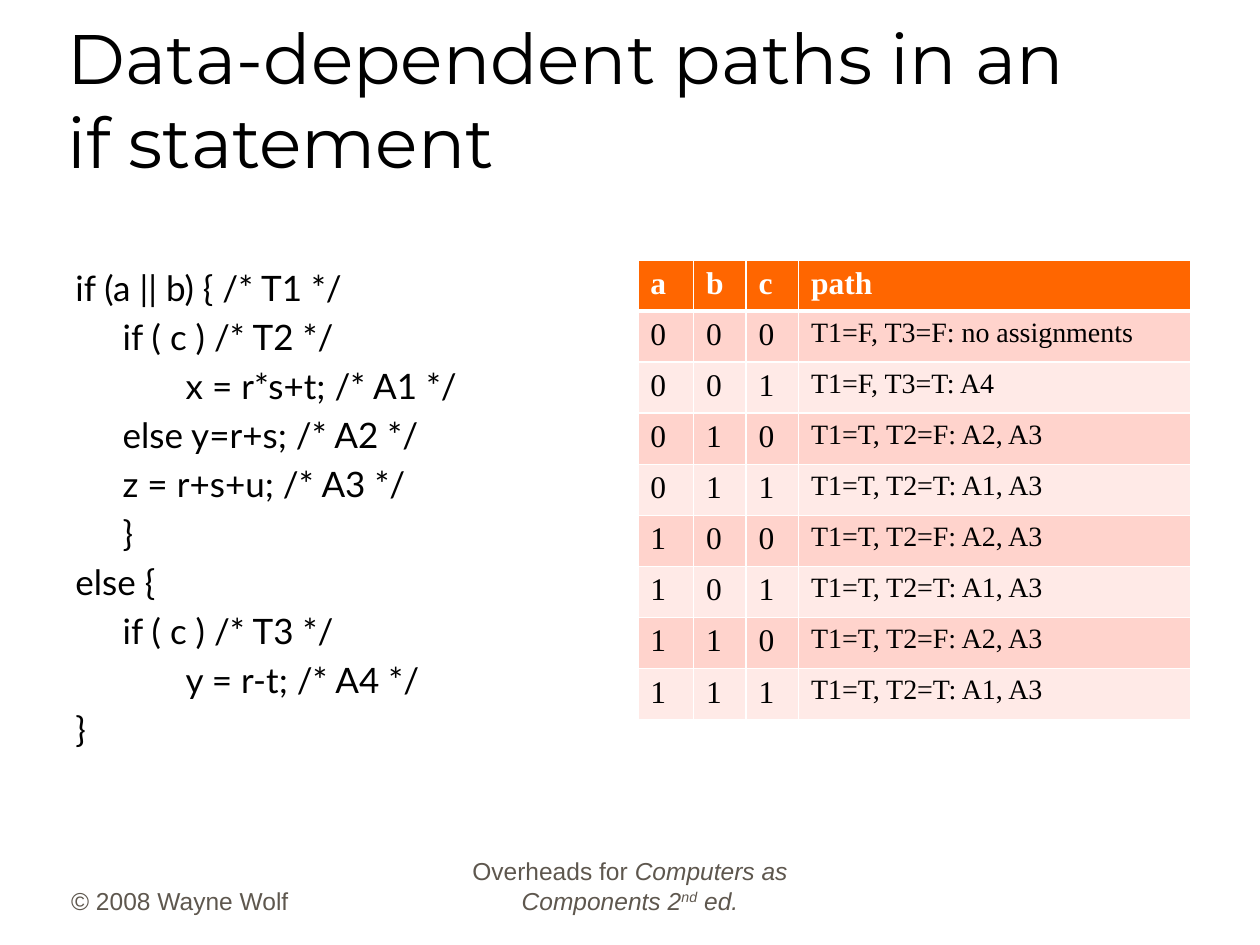
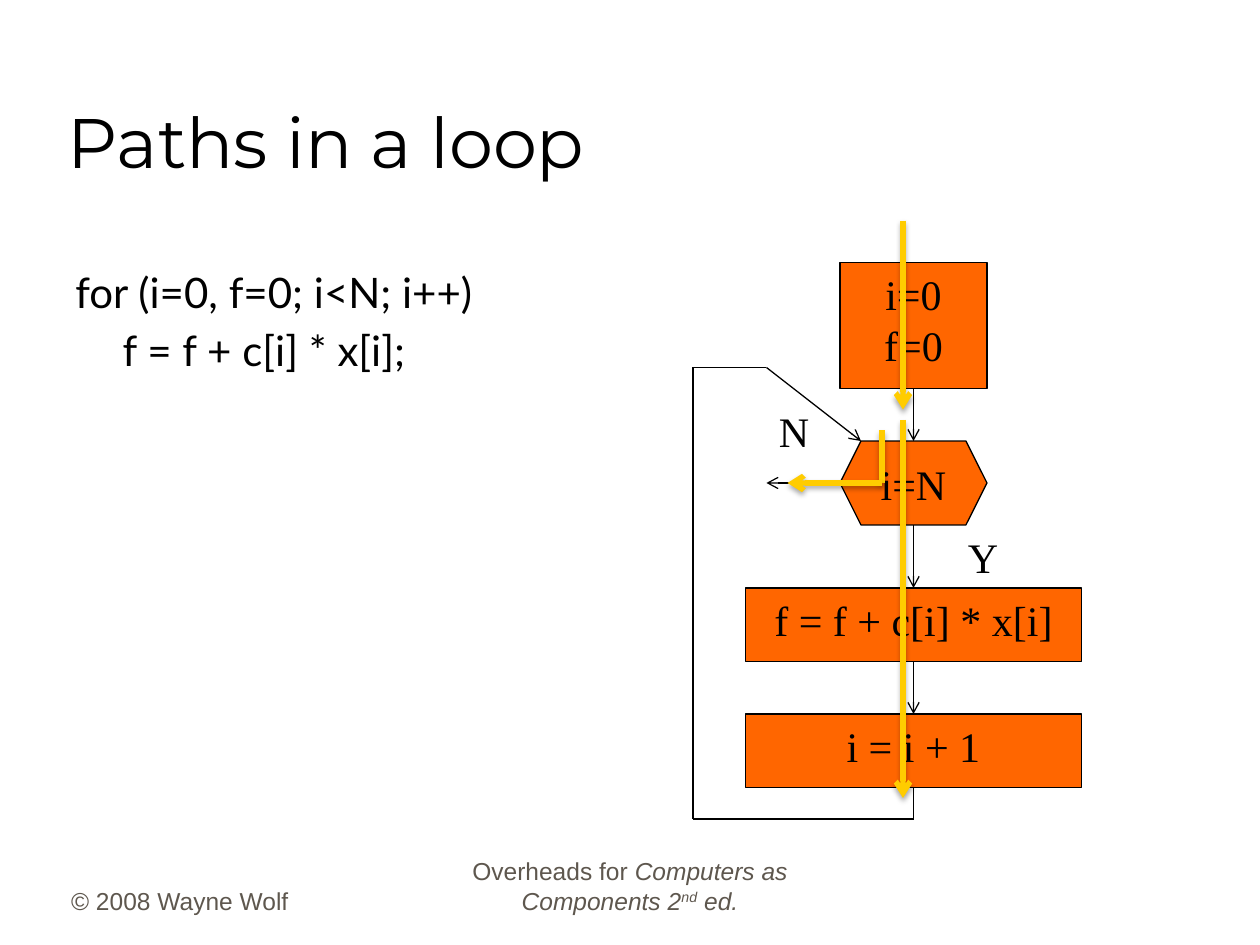
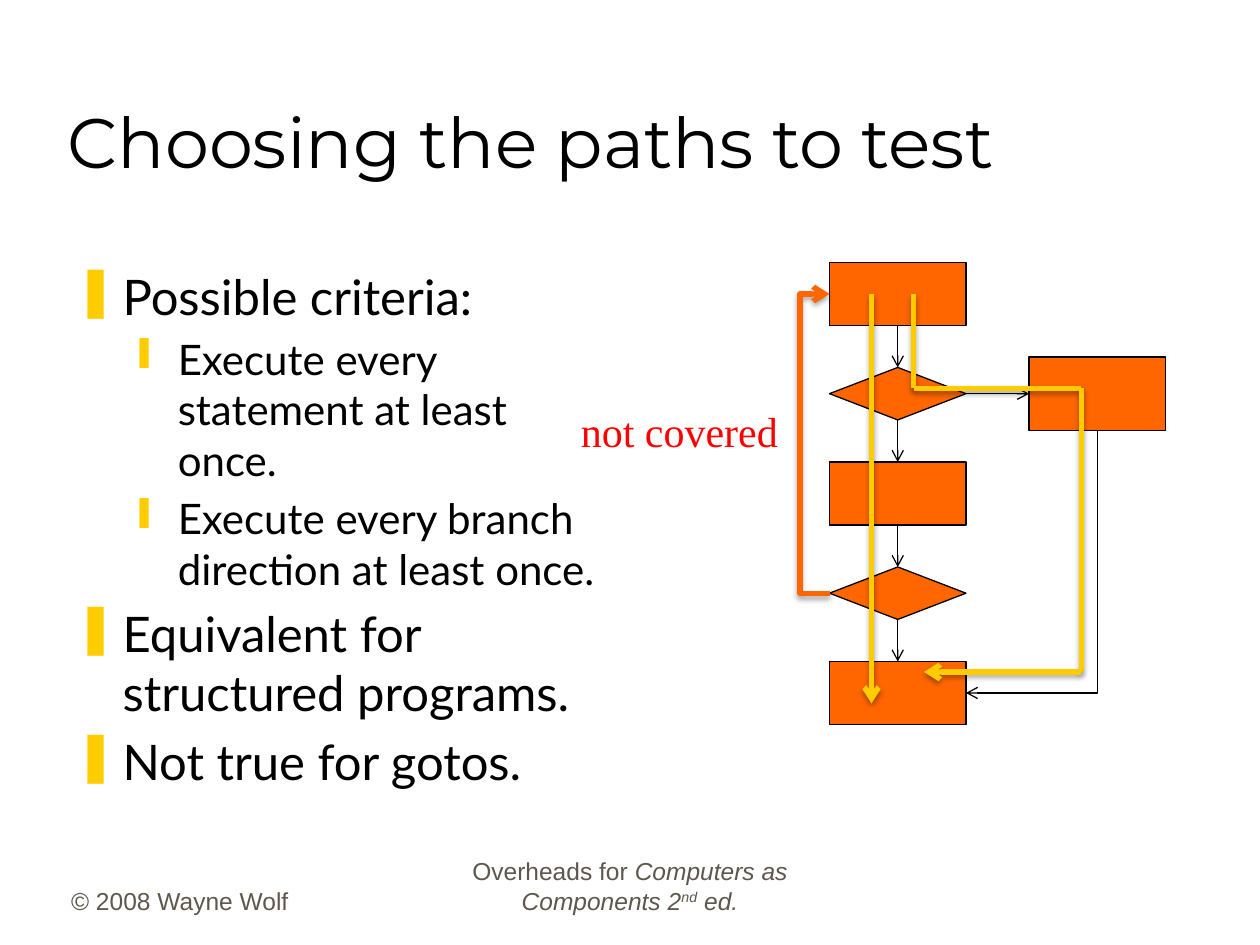
import pptx
import pptx.dml.color
import pptx.enum.shapes
import pptx.enum.text
import pptx.oxml
import pptx.oxml.ns
import pptx.shapes.base
import pptx.util

Pt = pptx.util.Pt
SHAPE = pptx.enum.shapes.MSO_SHAPE
CONNECTOR = pptx.enum.shapes.MSO_CONNECTOR
ALIGN = pptx.enum.text.PP_ALIGN
ANCHOR = pptx.enum.text.MSO_ANCHOR
FIT = pptx.enum.text.MSO_AUTO_SIZE

COLORS = {
    "ink": "000000", "paper": "FFFFFF", "footer": "5E574E", "node": "FF6600",
    "path": "FFCC00", "warning": "FF0000", "band": "FFD3CC", "band_light": "FFEAE7",
}
FORMATS = {
    "title": {"name": "Montserrat", "size": Pt(40), "bold": False},
    "body": {"name": "Lato"},
    "footer": {"name": "Arial", "size": Pt(14)},
    "node": {"name": "Times New Roman", "size": Pt(24)},
    "head": {"name": "Times New Roman", "size": Pt(18), "bold": True},
    "value": {"name": "Times New Roman", "size": Pt(18), "bold": False},
    "note": {"name": "Times New Roman", "size": Pt(16), "bold": False},
}
TOP, LEFT, BOTTOM, RIGHT = range(4)  # connection sites of a rectangle or diamond
BODY = (6, 24.75, 52.75, 54.75)      # columns and rows
# Per level: bullet, left margin, hanging indent (columns)
BULLETS = [("❚", 4.5, 4.5), ("❙", 9.75, 3.75)]


def rgb(color):
    return pptx.dml.color.RGBColor.from_string(COLORS[color])


def xml(tag, inner="", **attrs):
    """Make one element of the drawing namespace."""
    values = "".join(f' {k}="{v}"' for k, v in attrs.items())
    ns = pptx.oxml.ns.nsdecls("a")
    return pptx.oxml.parse_xml(f"<a:{tag} {ns}{values}>{inner}</a:{tag}>")


def color_xml(color, inner=""):
    return f'<a:srgbClr val="{COLORS[color]}">{inner}</a:srgbClr>'


class Deck:
    """Slides on a grid of 120 columns by 90 rows, 12 to the inch."""

    def __init__(self):
        self.prs = pptx.Presentation()
        self.prs.slide_width = self.grid(120)
        self.prs.slide_height = self.grid(90)
        self.s = None

    @staticmethod
    def grid(n):
        return pptx.util.Emu(round(n * 76200))

    def box(self, *values):
        return [self.grid(v) for v in values]

    def run(self, p, text, style, color="ink", **extra):
        r = p.add_run()
        r.text = text
        for key, value in {**FORMATS[style], **extra}.items():
            setattr(r.font, key, value)
        r.font.color.rgb = rgb(color)
        return r

    def slide(self, title):
        self.s = self.prs.slides.add_slide(self.prs.slide_layouts[5])
        sp = self.s.shapes.title
        sp.left, sp.top, sp.width, sp.height = self.box(5.25, 3, 102, 15)
        tf = sp.text_frame
        for key, value in {"word_wrap": True, "auto_size": FIT.NONE,
                           "vertical_anchor": ANCHOR.BOTTOM}.items():
            setattr(tf, key, value)
        p = tf.paragraphs[0]
        p.alignment = ALIGN.LEFT
        self.run(p, title, "title")
        self.footers()

    def textbox(self, *place, wrap=True, anchor=ANCHOR.TOP):
        tf = self.s.shapes.add_textbox(*self.box(*place)).text_frame
        tf.word_wrap = wrap
        tf.auto_size = FIT.NONE if wrap else FIT.SHAPE_TO_FIT_TEXT
        tf.vertical_anchor = anchor
        return tf

    def footers(self):
        tf = self.textbox(5.6, 81.75, 25, 6, anchor=ANCHOR.BOTTOM)
        self.run(tf.paragraphs[0], "© 2008 Wayne Wolf", "footer", "footer")
        p = self.textbox(41, 81.75, 38, 6, anchor=ANCHOR.BOTTOM).paragraphs[0]
        p.alignment = ALIGN.CENTER
        self.run(p, "Overheads for ", "footer", "footer")
        for text, raised in (("Computers as Components 2", 0), ("nd", 30000), (" ed.", 0)):
            r = self.run(p, text, "footer", "footer", italic=True)
            if raised:
                r.font._element.set("baseline", str(raised))

    def body(self, items, bullets=False):
        """Write (text, level, size) items with a hanging indent."""
        tf = self.textbox(*BODY)
        for i, (text, level, size) in enumerate(items):
            p = tf.add_paragraph() if i else tf.paragraphs[0]
            p.level = level
            p.space_before = Pt(0.2 * size if i else 0)
            char, margin, hang = BULLETS[level]
            pPr = p._p.get_or_add_pPr()
            pPr.set("marL", str(self.grid(margin)))
            pPr.set("indent", str(-self.grid(hang)))
            if bullets:
                pPr.append(xml("buClr", color_xml("path")))
                pPr.append(xml("buChar", char=char))
            self.run(p, text, "body", size=Pt(size))

    def code(self, text, size):
        self.body([(line, 0, size) for line in text.split("\n")])

    def label(self, text, *place, color="ink", align=ALIGN.LEFT):
        p = self.textbox(*place, wrap=False).paragraphs[0]
        p.alignment = align
        self.run(p, text, "node", color)

    def node(self, kind, *place, text=""):
        sp = self.s.shapes.add_shape(kind, *self.box(*place))
        sp.shadow.inherit = False
        sp.fill.solid()
        sp.fill.fore_color.rgb = rgb("node")
        sp.line.color.rgb = rgb("ink")
        sp.line.width = Pt(0.75)
        tf = sp.text_frame
        tf.vertical_anchor = ANCHOR.TOP
        for i, line in enumerate(text.split("\n") if text else []):
            p = tf.add_paragraph() if i else tf.paragraphs[0]
            p.alignment = ALIGN.CENTER
            self.run(p, line, "node")
        return sp

    def stroke(self, cx, color, arrow, thick):
        cx.line.color.rgb = rgb(color)
        cx.line.width = Pt(3 if thick else 0.75)
        if arrow:
            cx.line._get_or_add_ln().append(xml("tailEnd", type="arrow"))
        shadow = ""
        if thick:
            shadow = (f'<a:outerShdw blurRad="{Pt(3.1)}" dist="{Pt(1.8)}" dir="5400000" '
                      f'rotWithShape="0">{color_xml("ink", "<a:alpha val=%s/>" % chr(34).join(["", "35000", ""]))}'
                      "</a:outerShdw>")
        cx._element.spPr.append(xml("effectLst", shadow))

    def route(self, *stops, color="ink", arrow=True, thick=False):
        """Join stops, each a (column, row) or a (shape, site), by straight lines."""
        for start, end in zip(stops, stops[1:]):
            joins = [isinstance(stop[0], pptx.shapes.base.BaseShape) for stop in (start, end)]
            ends = [(0, 0) if join else stop for stop, join in zip((start, end), joins)]
            cx = self.s.shapes.add_connector(CONNECTOR.STRAIGHT, *self.box(*ends[0], *ends[1]))
            if joins[0]:
                cx.begin_connect(*start)
            if joins[1]:
                cx.end_connect(*end)
            self.stroke(cx, color, arrow and end is stops[-1], thick)

    def trace(self, *stops):
        self.route(*stops, color="path", thick=True)

    def elbow(self, start, end, turn, bulge=0, color="ink", thick=False):
        """Draw a bent arrow turned by 90 or 180 degrees; bulge is in columns."""
        (x1, y1), (x2, y2) = start, end
        w, h = abs(x2 - x1), abs(y2 - y1)
        if turn == 90:
            w, h = h, w
        left, top = (x1 + x2 - w) / 2, (y1 + y2 - h) / 2
        cx = self.s.shapes.add_connector(CONNECTOR.ELBOW, *self.box(left, top, left + w, top + h))
        spPr = cx._element.spPr
        spPr.xfrm.set("rot", str(turn * 60000))
        geom = spPr.find(pptx.oxml.ns.qn("a:prstGeom"))
        if bulge:
            guides = geom.find(pptx.oxml.ns.qn("a:avLst"))
            guides.append(xml("gd", name="adj1", fmla=f"val {round(bulge / w * 100000)}"))
        else:
            geom.set("prst", "bentConnector2")
        self.stroke(cx, color, True, thick)

    def table(self, left, top, widths, row_height, rows):
        place = self.box(left, top, sum(widths), row_height * len(rows))
        tbl = self.s.shapes.add_table(len(rows), len(widths), *place).table
        tbl.horz_banding = False
        for col, width in zip(tbl.columns, widths):
            col.width = self.grid(width)
        for i, row in enumerate(rows):
            tbl.rows[i].height = self.grid(row_height)
            for j, text in enumerate(row):
                self.cell(tbl.cell(i, j), text, i, last=j == len(widths) - 1)

    def cell(self, cell, text, i, last):
        style = "head" if i == 0 else "note" if last else "value"
        fill = "node" if i == 0 else "band" if i % 2 else "band_light"
        self.run(cell.text_frame.paragraphs[0], text, style, "paper" if i == 0 else "ink")
        cell.fill.solid()
        cell.fill.fore_color.rgb = rgb(fill)
        tcPr = cell._tc.get_or_add_tcPr()
        for k, side in enumerate("LRTB"):
            under_head = (i, side) in ((0, "B"), (1, "T"))
            inner = f"<a:solidFill>{color_xml('paper')}</a:solidFill>"
            tcPr.insert(k, xml(f"ln{side}", inner, w=Pt(3 if under_head else 1)))


def if_statement(d):
    d.slide("Data-dependent paths in an if statement")
    d.code("if (a || b) { /* T1 */\n"
           "\tif ( c ) /* T2 */\n"
           "\t\tx = r*s+t; /* A1 */\n"
           "\telse y=r+s; /* A2 */\n"
           "\tz = r+s+u; /* A3 */\n"
           "\t}\n"
           "else {\n"
           "\tif ( c ) /* T3 */\n"
           "\t\ty = r-t; /* A4 */\n"
           "}", 20)
    taken = ["T1=T, T2=F: A2, A3", "T1=T, T2=T: A1, A3"]
    paths = ["T1=F, T3=F: no assignments", "T1=F, T3=T: A4"] + taken * 3
    rows = [[*f"{n:03b}", path] for n, path in enumerate(paths)]
    d.table(60.75, 24.75, [5.3, 5, 5, 37.4], 4.87, [["a", "b", "c", "path"]] + rows)


def loop_paths(d):
    d.slide("Paths in a loop")
    d.code("for (i=0, f=0; i<N; i++)\n\tf = f + c[i] * x[i];", 24)
    # Flow chart
    init = d.node(SHAPE.RECTANGLE, 80, 25, 14, 12, text="i=0\nf=0")
    d.node(SHAPE.HEXAGON, 80, 42, 14, 8, text="i=N")
    work = d.node(SHAPE.RECTANGLE, 71, 56, 32, 7, text="f = f + c[i] * x[i]")
    step = d.node(SHAPE.RECTANGLE, 71, 68, 32, 7, text="i = i + 1")
    d.route((init, BOTTOM), (87, 42))
    d.route((80, 46), (73, 46))
    d.label("N", 73, 38, 5.4, 6.1)
    d.label("Y", 91, 50, 5.4, 6.1)
    d.route((87, 50), (work, TOP))
    d.route((work, BOTTOM), (step, TOP))
    d.route((step, BOTTOM), (87, 78), (66, 78), (66, 35), (73, 35), (82, 42))
    # Execution paths
    d.trace((86, 21), (86, 39))
    d.trace((86, 40), (86, 76))
    d.trace((84, 41), (84, 46), (75, 46))


def test_choice(d):
    d.slide("Choosing the paths to test")
    d.body([("Possible criteria:", 0, 28),
            ("Execute every statement at least once.", 1, 24),
            ("Execute every branch direction at least once.", 1, 24),
            ("Equivalent for structured programs.", 0, 28),
            ("Not true for gotos.", 0, 28)], bullets=True)
    # Flow chart
    column = [d.node(kind, 79, top, 13, height) for kind, top, height in (
        (SHAPE.RECTANGLE, 25, 6), (SHAPE.DIAMOND, 35, 5), (SHAPE.RECTANGLE, 44, 6),
        (SHAPE.DIAMOND, 54, 5), (SHAPE.RECTANGLE, 63, 6))]
    branch = d.node(SHAPE.RECTANGLE, 98, 34, 13, 7)
    for upper, lower in zip(column, column[1:]):
        d.route((upper, BOTTOM), (lower, TOP))
    d.route((column[1], RIGHT), (branch, LEFT))
    d.elbow((104.5, 41), (92, 66), 90)
    # Covered paths
    d.trace((83, 28), (83, 67))
    d.trace((87, 28), (87, 37), (103, 37), (103, 64), (88, 64))
    # Uncovered path
    d.elbow((79.02, 56.5), (79, 28), 180, bulge=3, color="node", thick=True)
    d.label("not covered", 54, 38, 21.4, 6.1, color="warning", align=ALIGN.CENTER)


def main():
    d = Deck()
    for build in (if_statement, loop_paths, test_choice):
        build(d)
    d.prs.save("out.pptx")


if __name__ == "__main__":
    main()
